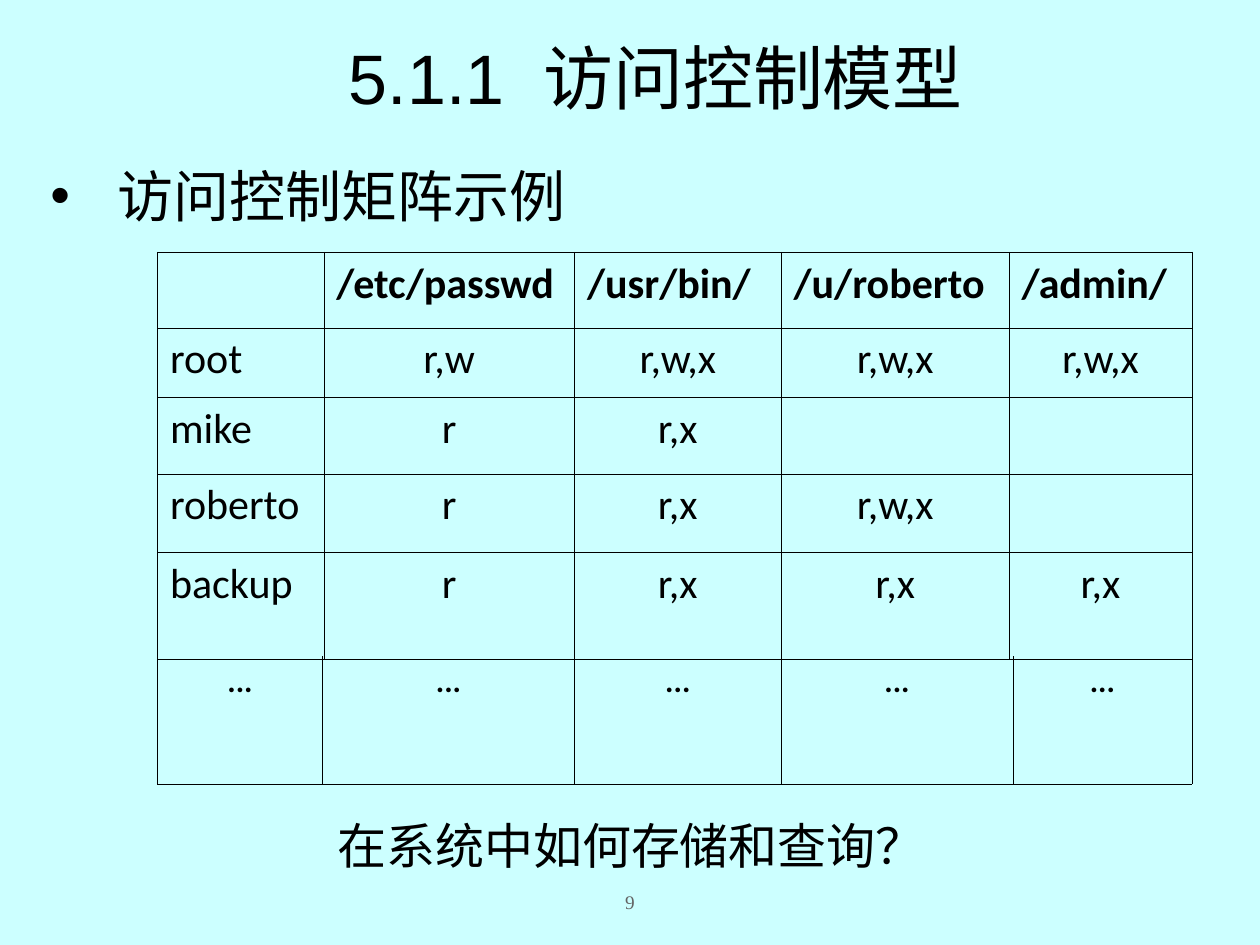
from lxml import etree
from pptx import Presentation
from pptx.dml.color import RGBColor
from pptx.enum.text import MSO_ANCHOR, MSO_AUTO_SIZE, PP_ALIGN
from pptx.oxml.ns import qn
from pptx.util import Inches, Pt

BACKGROUND = RGBColor(0xCC, 0xFF, 0xFF)
BLACK = RGBColor(0, 0, 0)
GRAY = RGBColor(0x63, 0x63, 0x63)


def write(frame, text, size, font, color=BLACK, bold=False, align=PP_ALIGN.LEFT, before=0):
    paragraph = frame.paragraphs[0]
    paragraph.alignment = align
    paragraph.space_before = Pt(before)
    run = paragraph.add_run()
    run.text = text
    run.font.size = Pt(size)
    run.font.name = font
    run.font.bold = bold
    run.font.color.rgb = color
    return paragraph


def add_grid(left, top, widths, heights, rows, sides, **style):
    """Add an unfilled table with thin black borders on the given sides of each cell."""
    shape = slide.shapes.add_table(len(rows), len(widths), Inches(left), Inches(top),
                                   Inches(sum(widths)), Inches(sum(heights)))
    table = shape.table
    table.first_row = table.horz_banding = False
    for column, width in zip(table.columns, widths):
        column.width = Inches(width)
    for row, height in zip(table.rows, heights):
        row.height = Inches(height)
    for i, texts in enumerate(rows):
        for j, text in enumerate(texts):
            cell = table.cell(i, j)
            properties = cell._tc.get_or_add_tcPr()
            for side in "LRTB":
                line = etree.SubElement(properties, qn(f"a:ln{side}"), w="1397")
                if side in sides:
                    fill = etree.SubElement(line, qn("a:solidFill"))
                    etree.SubElement(fill, qn("a:srgbClr"), val=str(BLACK))
                else:
                    etree.SubElement(line, qn("a:noFill"))
            cell.fill.background()
            if text:
                centered = text == "..." or (i > 0 and j > 0)
                write(cell.text_frame, text, font="Calibri",
                      bold=i == 0,
                      align=PP_ALIGN.CENTER if centered else PP_ALIGN.LEFT, **style)


presentation = Presentation()
presentation.slide_width = Inches(10)
presentation.slide_height = Inches(7.5)
slide = presentation.slides.add_slide(presentation.slide_layouts[5])
slide.background.fill.solid()
slide.background.fill.fore_color.rgb = BACKGROUND

# Title
title = slide.shapes.title
title.left, title.top = Inches(1.58), Inches(0.25)
title.width, title.height = Inches(7.25), Inches(0.72)
title.text_frame.auto_size = MSO_AUTO_SIZE.NONE
write(title.text_frame, "5.1.1  访问控制模型", 40, "Arial", align=PP_ALIGN.CENTER)

# Heading, page number and closing question
heading = slide.shapes.add_textbox(Inches(0.33), Inches(1.25), Inches(8.67), Inches(0.59))
page_number = slide.shapes.add_textbox(Inches(4.5), Inches(7), Inches(1), Inches(0.31))
question = slide.shapes.add_textbox(Inches(2.58), Inches(6.42), Inches(5.42), Inches(0.64))
for shape, side_inset, end_inset in ((title, 0.07, 0.03), (heading, 0.07, 0.03),
                                     (page_number, 0.05, 0.05), (question, 0.1, 0.05)):
    frame = shape.text_frame
    frame.word_wrap = True
    frame.margin_left = frame.margin_right = Inches(side_inset)
    frame.margin_top = frame.margin_bottom = Inches(end_inset)

paragraph = write(heading.text_frame, "访问控制矩阵示例", 32, "Arial", before=18)
properties = paragraph._p.get_or_add_pPr()
properties.set("marL", str(Inches(0.53)))
properties.set("indent", str(-Inches(0.53)))
etree.SubElement(properties, qn("a:buFont"), typeface="Arial")
etree.SubElement(properties, qn("a:buChar"), char="•")

page_number.text_frame.vertical_anchor = MSO_ANCHOR.MIDDLE
write(page_number.text_frame, "9", 11, "Times New Roman", GRAY, align=PP_ALIGN.CENTER)
write(question.text_frame, "在系统中如何存储和查询？", 28, "Karla", before=7)

# Access control matrix, with its open-ended last row as a second table
add_grid(1.25, 2, [1.32, 1.99, 1.64, 1.81, 1.45], [0.6, 0.55, 0.61, 0.62, 0.85], [
    ["", "/etc/passwd", "/usr/bin/", "/u/roberto", "/admin/"],
    ["root", "r,w", "r,w,x", "r,w,x", "r,w,x"],
    ["mike", "r", "r,x", "", ""],
    ["roberto", "r", "r,x", "r,w,x", ""],
    ["backup", "r", "r,x", "r,x", "r,x"],
], sides="LRTB", size=24, before=6)
add_grid(1.25, 5.21, [1.31, 2, 1.64, 1.84, 1.42], [1.01], [["..."] * 5],
         sides="LRB", size=18, before=4.5)

presentation.save("out.pptx")
